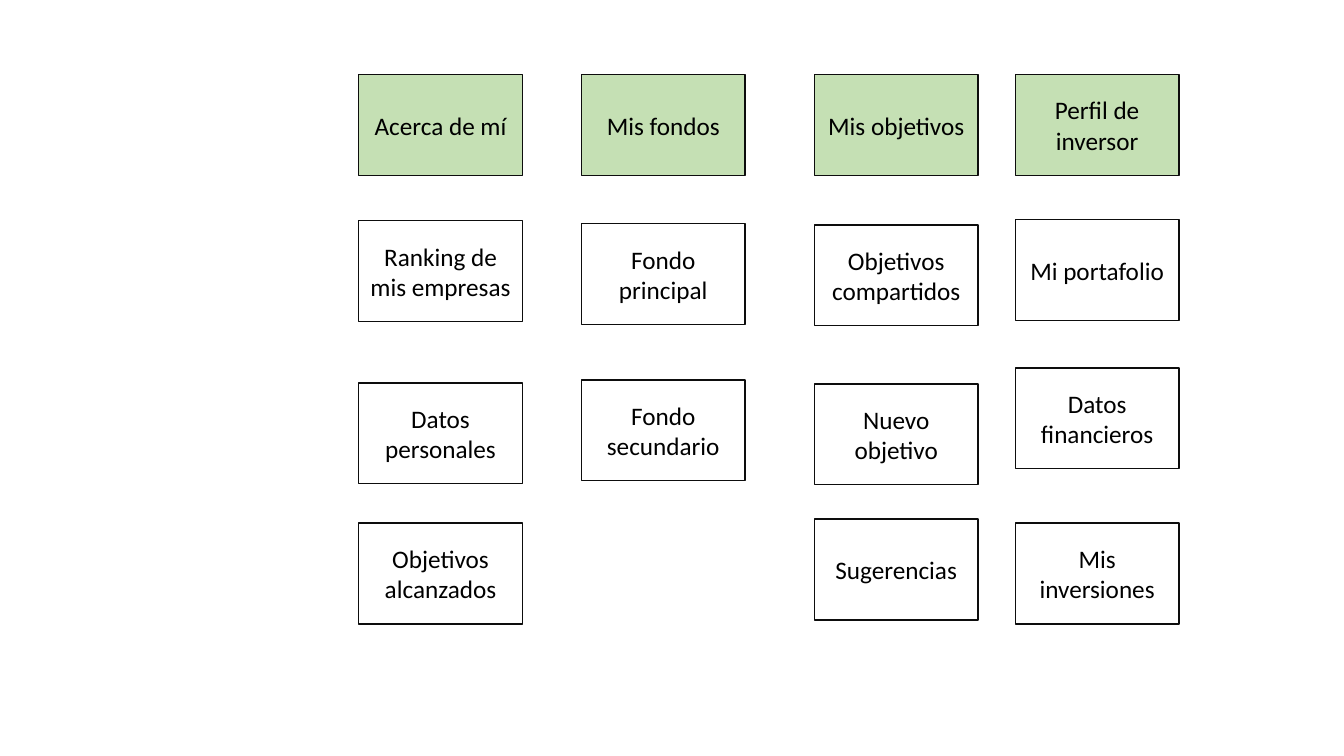
from pptx import Presentation
from pptx.dml.color import RGBColor
from pptx.enum.shapes import MSO_SHAPE as Preset
from pptx.enum.text import MSO_ANCHOR as Anchor, PP_ALIGN as Align
from pptx.util import Pt

COLUMNS = [
    (256.3, "Acerca de mí", [
        (157.7, "Ranking de mis empresas"),
        (273.6, "Datos personales"),
        (373.7, "Objetivos alcanzados"),
    ]),
    (415.4, "Mis fondos", [
        (159.8, "Fondo principal"),
        (271.4, "Fondo secundario"),
    ]),
    (581.8, "Mis objetivos", [
        (160.6, "Objetivos compartidos"),
        (274.3, "Nuevo objetivo"),
        (370.8, "Sugerencias"),
    ]),
    (725.3, "Perfil de inversor", [
        (157, "Mi portafolio"),
        (262.8, "Datos financieros"),
        (373.7, "Mis inversiones"),
    ]),
]

THEME = {
    "font": "Calibri",
    "size": 18,
    "text": RGBColor.from_string("000000"),
    "header": RGBColor.from_string("C5E0B4"),
    "line": RGBColor.from_string("0D0D0D"),
    "line_width": 1,
}
HEADER_TOP = 53.3
BOX_WIDTH, BOX_HEIGHT = 116.8, 72


def write_text(shape, text, *, size=THEME["size"], color=THEME["text"], align=Align.CENTER):
    frame = shape.text_frame
    frame.word_wrap = True
    frame.vertical_anchor = Anchor.MIDDLE
    paragraph = frame.paragraphs[0]
    paragraph.alignment = align
    run = paragraph.add_run()
    run.text = text
    run.font.name = THEME["font"]
    run.font.size = Pt(size)
    run.font.color.rgb = color


def add_box(slide, left, top, text, fill=None):
    shape = slide.shapes.add_shape(
        Preset.RECTANGLE, Pt(left), Pt(top), Pt(BOX_WIDTH), Pt(BOX_HEIGHT))
    shape.shadow.inherit = False
    if fill is None:
        shape.fill.background()
    else:
        shape.fill.solid()
        shape.fill.fore_color.rgb = fill
    shape.line.color.rgb = THEME["line"]
    shape.line.width = Pt(THEME["line_width"])
    write_text(shape, text)


presentation = Presentation()
presentation.slide_width, presentation.slide_height = Pt(960), Pt(540)
slide = presentation.slides.add_slide(presentation.slide_layouts[6])

for left, header, items in COLUMNS:
    add_box(slide, left, HEADER_TOP, header, fill=THEME["header"])
    for top, item in items:
        add_box(slide, left, top, item)

presentation.save("out.pptx")
